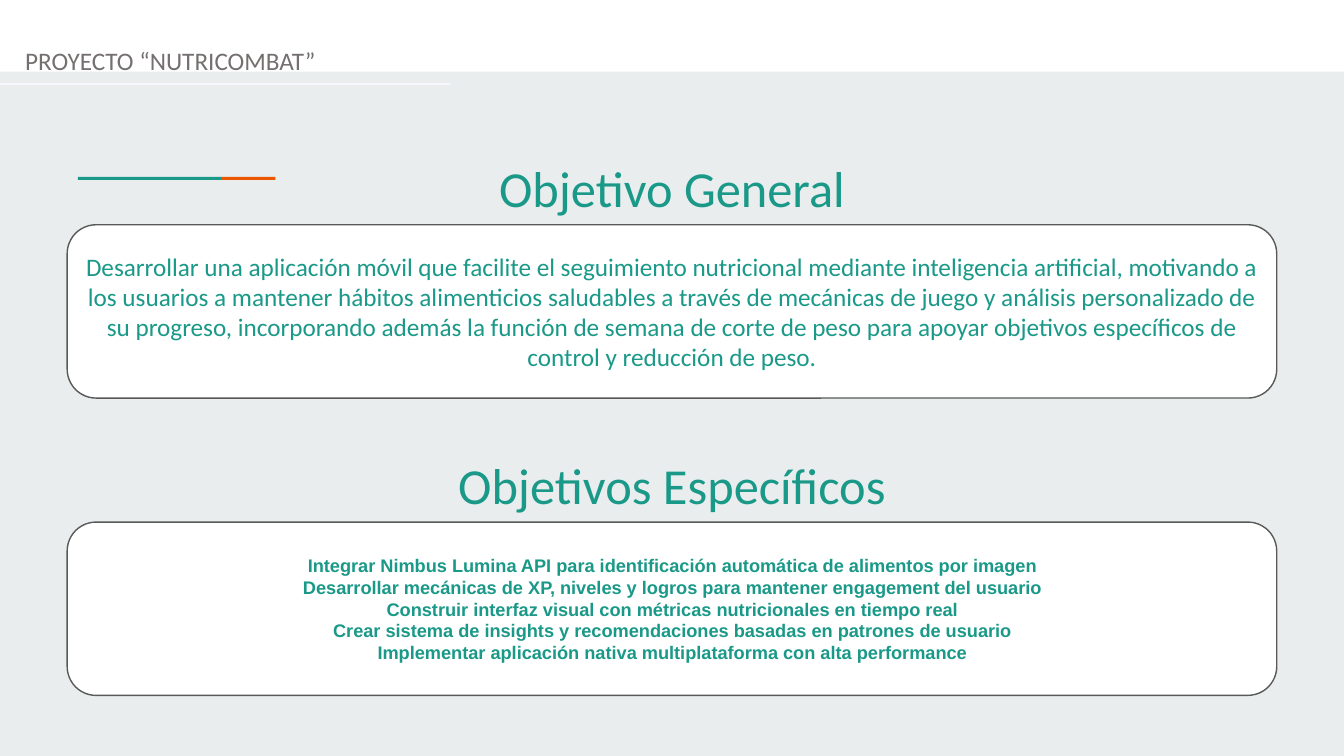
from dataclasses import dataclass

from lxml import etree
from pptx import Presentation
from pptx import util as u
from pptx.dml.color import RGBColor
from pptx.enum import shapes, text
from pptx.oxml import ns

WHITE = RGBColor(0xFF, 0xFF, 0xFF)
MIST = RGBColor(0xE9, 0xED, 0xEE)
PALE = RGBColor(0xF5, 0xF7, 0xFC)
GREY = RGBColor(0x75, 0x70, 0x70)
OUTLINE = RGBColor(0x59, 0x59, 0x59)
TEAL = RGBColor(0x1A, 0x99, 0x88)
ORANGE = RGBColor(0xEB, 0x56, 0x00)

PAGE_WIDTH = u.Inches(13.33)
PAGE_HEIGHT = u.Inches(7.5)
HEADING_TOP = 20.13
SECTION_PITCH = 39.33
CARD_OFFSET = 9.6


@dataclass(frozen=True)
class Area:
    """Percentages of the slide's width and height."""
    left: float
    top: float
    width: float
    height: float

    def lengths(self) -> tuple[int, int, int, int]:
        return (share(self.left, PAGE_WIDTH), share(self.top, PAGE_HEIGHT),
                share(self.width, PAGE_WIDTH), share(self.height, PAGE_HEIGHT))


@dataclass(frozen=True)
class Style:
    size: float
    color: RGBColor = TEAL
    font: str = "Calibri"
    bold: bool = False
    align: text.PP_ALIGN = text.PP_ALIGN.CENTER
    anchor: text.MSO_ANCHOR = text.MSO_ANCHOR.TOP


@dataclass(frozen=True)
class Panel:
    area: Area
    fill: RGBColor


HEADING = Style(36)
STATEMENT = Style(18, anchor=text.MSO_ANCHOR.MIDDLE)
GOALS = Style(13, font="Arial", bold=True, anchor=text.MSO_ANCHOR.MIDDLE)
PROJECT = Style(18, GREY, align=text.PP_ALIGN.LEFT)

PANELS = [
    Panel(Area(0, 0, 100, 9.47), WHITE),
    Panel(Area(5.8, 23.4, 10.65, 0.4), TEAL),
    Panel(Area(16.45, 23.4, 4.05, 0.4), ORANGE),
]
HEADING_AREAS = [Area(0, HEADING_TOP + row * SECTION_PITCH, 100, 9.47) for row in range(2)]
CARD_AREAS = [Area(5, area.top + CARD_OFFSET, 90, 22.93) for area in HEADING_AREAS]

GENERAL_GOAL = (
    "Desarrollar una aplicación móvil que facilite el seguimiento nutricional mediante "
    "inteligencia artificial, motivando a los usuarios a mantener hábitos alimenticios "
    "saludables a través de mecánicas de juego y análisis personalizado de su progreso, "
    "incorporando además la función de semana de corte de peso para apoyar objetivos "
    "específicos de control y reducción de peso."
)
SPECIFIC_GOALS = [
    "Integrar Nimbus Lumina API para identificación automática de alimentos por imagen",
    "Desarrollar mecánicas de XP, niveles y logros para mantener engagement del usuario",
    "Construir interfaz visual con métricas nutricionales en tiempo real",
    "Crear sistema de insights y recomendaciones basadas en patrones de usuario",
    "Implementar aplicación nativa multiplataforma con alta performance",
]


def share(percent: float, total: int) -> int:
    return round(percent / 100 * total)


def place(box, area: Area) -> None:
    box.left, box.top, box.width, box.height = area.lengths()


def write(box, lines: list[str], style: Style) -> None:
    frame = box.text_frame
    frame.word_wrap = True
    frame.auto_size = text.MSO_AUTO_SIZE.NONE
    frame.vertical_anchor = style.anchor
    for index, line in enumerate(lines):
        para = frame.add_paragraph() if index else frame.paragraphs[0]
        para.alignment = style.align
        para.space_before = u.Pt(0)
        span = para.add_run()
        span.text = line
        span.font.name = style.font
        span.font.size = u.Pt(style.size)
        span.font.bold = style.bold
        span.font.color.rgb = style.color


def add_panel(page, panel: Panel, kind=shapes.MSO_SHAPE.RECTANGLE):
    box = page.shapes.add_shape(kind, *panel.area.lengths())
    box.shadow.inherit = False
    box.fill.solid()
    box.fill.fore_color.rgb = panel.fill
    box.line.fill.background()
    return box


def add_card(page, area: Area):
    card = add_panel(page, Panel(area, WHITE), shapes.MSO_SHAPE.ROUNDED_RECTANGLE)
    card.line.color.rgb = OUTLINE
    card.line.width = u.Pt(1)
    return card


def add_label(page, area: Area, label: str, style: Style) -> None:
    write(page.shapes.add_textbox(*area.lengths()), [label], style)


def add_rule(page, top: float, width: float) -> None:
    left, level, length, _ = Area(0, top, width, 0).lengths()
    rule = page.shapes.add_connector(shapes.MSO_CONNECTOR.STRAIGHT, left, level, left + length, level)
    rule.line.color.rgb = PALE
    rule.line.width = u.Pt(1.25)
    etree.SubElement(rule.element.spPr, ns.qn("a:effectLst"))


def remove_bullets(box) -> None:
    for para in box.text_frame.paragraphs:
        properties = para._p.get_or_add_pPr()
        properties.set("marL", "0")
        properties.set("indent", "0")
        etree.SubElement(properties, ns.qn("a:buNone"))


def main() -> None:
    deck = Presentation()
    deck.slide_width, deck.slide_height = PAGE_WIDTH, PAGE_HEIGHT
    page = deck.slides.add_slide(deck.slide_layouts[1])
    page.background.fill.solid()
    page.background.fill.fore_color.rgb = MIST

    for panel in PANELS:
        add_panel(page, panel)
    add_label(page, Area(1.13, 5.33, 98.87, 5.33), "PROYECTO “NUTRICOMBAT”", PROJECT)
    add_rule(page, 11.07, 33.53)

    title, goals = page.placeholders
    place(title, HEADING_AREAS[0])
    write(title, ["Objetivo General"], HEADING)
    add_label(page, HEADING_AREAS[1], "Objetivos Específicos", HEADING)

    general_card, _ = [add_card(page, area) for area in CARD_AREAS]
    write(general_card, [GENERAL_GOAL], STATEMENT)
    place(goals, CARD_AREAS[1])
    write(goals, SPECIFIC_GOALS, GOALS)
    remove_bullets(goals)
    goals.element.getparent().append(goals.element)

    deck.save("out.pptx")


if __name__ == "__main__":
    main()
